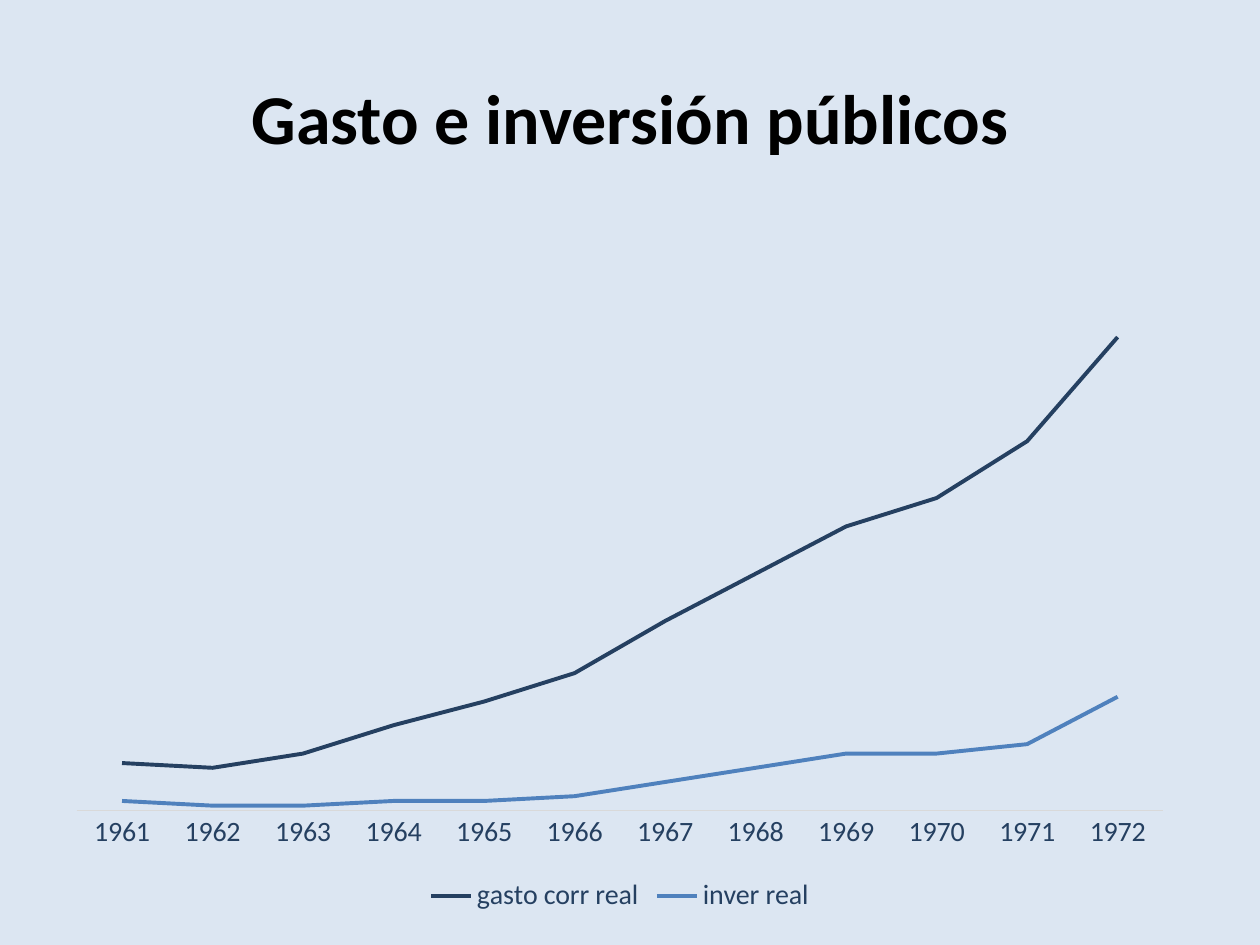
"""Build a slide with a line chart of public spending and investment."""
from lxml import etree
from pptx import Presentation
from pptx.chart.data import CategoryChartData
from pptx.dml.color import RGBColor
from pptx.enum.chart import XL_CHART_TYPE, XL_LEGEND_POSITION, XL_MARKER_STYLE, XL_TICK_MARK
from pptx.enum.text import MSO_ANCHOR, PP_ALIGN
from pptx.util import Pt

LINE = XL_CHART_TYPE.LINE
BOTTOM = XL_LEGEND_POSITION.BOTTOM
NO_MARKER = XL_MARKER_STYLE.NONE
NO_TICK = XL_TICK_MARK.NONE
MIDDLE = MSO_ANCHOR.MIDDLE
CENTER = PP_ALIGN.CENTER

EMU_PER_PX = 9144
NAVY = "254061"
YEARS = [str(year) for year in range(1961, 1973)]
SERIES = [
    ("gasto corr real", NAVY, [10, 9, 12, 18, 23, 29, 40, 50, 60, 66, 78, 100]),
    ("inver real", "4F81BD", [2, 1, 1, 2, 2, 3, 6, 9, 12, 12, 14, 24]),
]
PLOT_AREA = {"x": 0.02, "y": 0.01, "w": 0.96, "h": 0.82}


def px(*lengths):
    return [length * EMU_PER_PX for length in lengths]


def color(value):
    return RGBColor.from_string(value)


class SlideBuilder:
    font_name = "Calibri"

    def __init__(self, deck, background):
        self.page = deck.slides.add_slide(deck.slide_layouts[6])
        fill = self.page.background.fill
        fill.solid()
        fill.fore_color.rgb = color(background)

    def style_font(self, font, size, value, bold=False):
        font.name = self.font_name
        font.size = Pt(size)
        font.bold = bold
        font.color.rgb = color(value)

    def title(self, text, bounds):
        box = self.page.shapes.add_textbox(*px(*bounds))
        frame = box.text_frame
        frame.word_wrap = True
        frame.vertical_anchor = MIDDLE
        frame.text = text
        para = frame.paragraphs[0]
        para.alignment = CENTER
        self.style_font(para.runs[0].font, 40, "000000", bold=True)

    def line_chart(self, categories, series, bounds):
        data = CategoryChartData()
        data.categories = categories
        for name, _, values in series:
            data.add_series(name, values)
        chart = self.page.shapes.add_chart(LINE, *px(*bounds), data).chart
        self.style_font(chart.font, 16, NAVY)
        chart.has_title = False
        chart.has_legend = True
        chart.legend.position = BOTTOM
        chart.legend.include_in_layout = False
        self.style_font(chart.legend.font, 16, NAVY)

        plot = chart.plots[0]
        plot.vary_by_categories = False
        for line, (_, value, _) in zip(plot.series, series):
            line.smooth = False
            line.marker.style = NO_MARKER
            line.format.line.width = Pt(2.25)
            line.format.line.color.rgb = color(value)

        years = chart.category_axis
        years.major_tick_mark = years.minor_tick_mark = NO_TICK
        years.format.line.width = Pt(0.75)
        years.format.line.color.rgb = color("D9D9D9")
        self.style_font(years.tick_labels.font, 16, NAVY)
        amounts = chart.value_axis
        amounts.visible = False
        amounts.has_major_gridlines = False
        amounts.minimum_scale, amounts.maximum_scale = 0, 110
        self.set_plot_area(chart)

    def set_plot_area(self, chart):
        area = chart.element.chart.plotArea
        namespace = area.nsmap["c"]
        for old in area.findall(f"{{{namespace}}}layout"):
            area.remove(old)
        layout = etree.Element(f"{{{namespace}}}layout")
        manual = etree.SubElement(layout, f"{{{namespace}}}manualLayout")
        settings = {"layoutTarget": "inner", "xMode": "edge", "yMode": "edge", **PLOT_AREA}
        for name, value in settings.items():
            etree.SubElement(manual, f"{{{namespace}}}{name}", val=str(value))
        area.insert(0, layout)


def main():
    deck = Presentation()
    deck.slide_width, deck.slide_height = px(1000, 750)
    slide = SlideBuilder(deck, "DCE6F2")
    slide.title("Gasto e inversión públicos", (50, 30, 900, 125))
    slide.line_chart(YEARS, SERIES, (43, 225, 898, 504))
    deck.save("out.pptx")


if __name__ == "__main__":
    main()
